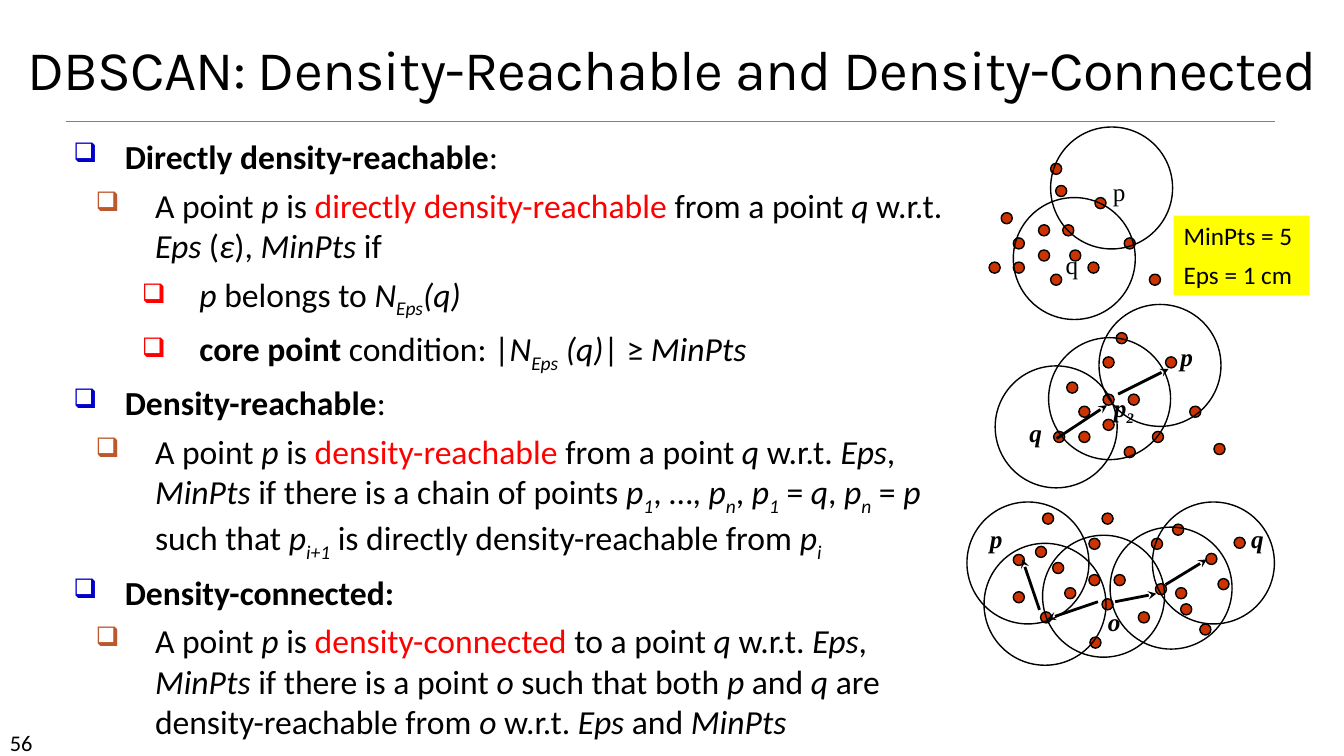
"""Build the slide on density-reachable and density-connected points in DBSCAN."""
from itertools import groupby

from lxml.etree import SubElement
from pptx import Presentation
from pptx.dml.color import RGBColor
from pptx.enum.shapes import MSO_CONNECTOR, MSO_SHAPE
from pptx.enum.text import MSO_ANCHOR, PP_ALIGN
from pptx.oxml.ns import qn
from pptx.util import Pt

PX = 9144
DOT, CIRCLE = 11, 121

TITLE = "DBSCAN: Density-Reachable and Density-Connected"
PAGE = "56"
PARAMETERS = ["MinPts = 5", "Eps = 1 cm"]

MARKS = {"^": "bold", "*": "italic", "_": "subscript", "#": "red"}
BODY = [
    (0, "^Directly density-reachable^:"),
    (1, "A point *p* is #directly density-reachable# from a point *q* w.r.t. *Eps* (*ε*), *MinPts* if"),
    (3, "*p* belongs to *N_Eps_(q)*"),
    (3, "^core point^ condition: |*N_Eps_ (q)*| ≥ *MinPts*"),
    (0, "^Density-reachable^:"),
    (1, "A point *p* is #density-reachable# from a point *q* w.r.t. *Eps*, *MinPts* if there is a chain of points "
        "*p_1_*, …, *p_n_*, *p_1_* = *q*, *p_n_* = *p* such that *p_i+1_* is directly density-reachable from *p_i_*"),
    (0, "^Density-connected:^"),
    (1, "A point *p* is #density-connected# to a point *q* w.r.t. *Eps*, *MinPts* if there is a point *o* such that "
        "both *p* and *q* are density-reachable from *o* w.r.t. *Eps* and *MinPts*"),
]
LEVELS = {0: (51, -51, "0000CC"), 1: (81, -59, "BD582C"), 3: (125, -57, "FF0000")}

FIGURES = [
    {
        "dots": [(1058, 379), (1094, 391), (1094, 354), (1045, 428), (1070, 403), (1070, 428), (1115, 443),
                 (1107, 330), (1180, 403), (1156, 354), (1094, 416), (1119, 391), (1143, 428), (1204, 440)],
        "circles": [(1040, 335), (987, 363), (1090, 302)],
        "arrows": [(1109, 391, 1159, 366), (1048, 435, 1098, 402)],
        "labels": [("^*p*^", 1161, 334, 42), ("^*q*^", 1011, 409, 42), ("^*p_2_*^", 1095, 384, 67)],
    },
    {
        "dots": [(1044, 558), (1080, 570), (1080, 534), (1032, 607), (1056, 583), (1081, 632), (1093, 594),
                 (1093, 509), (1166, 583), (1142, 534), (1005, 587), (1105, 570), (1129, 607), (1190, 619),
                 (1208, 574), (1146, 579), (1171, 599), (1224, 533), (1163, 520), (1196, 549),
                 (1027, 542), (1005, 550), (1034, 509)],
        "circles": [(976, 539), (1034, 531), (1101, 523), (1143, 498), (959, 498)],
        "arrows": [(1089, 597, 1039, 614), (1106, 597, 1147, 589), (1031, 605, 1014, 555), (1156, 580, 1197, 555)],
        "labels": [("^*p*^", 972, 514, 42), ("^*q*^", 1231, 514, 42), ("^*o*^", 1089, 597, 42)],
    },
    {
        "dots": [(993, 211), (1030, 223), (1047, 184), (981, 260), (1005, 236), (1005, 260), (1042, 272),
                 (1042, 162), (1115, 236), (1086, 196), (1030, 248), (1054, 223), (1079, 260), (1140, 272),
                 (1061, 248)],
        "circles": [(1042, 126), (1005, 196)],
        "arrows": [],
        "labels": [("p", 1094, 170, 42), ("q", 1047, 242, 42)],
    },
]


def px(*lengths):
    return [length * PX for length in lengths]


def rgb(value):
    return RGBColor.from_string(value)


def add_runs(p, text, size, font):
    styles, chars = frozenset(), []
    for char in text:
        if char in MARKS:
            styles ^= {MARKS[char]}
        else:
            chars.append((styles, char))
    for on, span in groupby(chars, key=lambda pair: pair[0]):
        r = p.add_run()
        r.text = "".join(char for _, char in span)
        formats = {"size": Pt(size), "name": font, "bold": "bold" in on, "italic": "italic" in on}
        for name, value in formats.items():
            setattr(r.font, name, value)
        r.font.color.rgb = rgb("FF0000" if "red" in on else "000000")
        if "subscript" in on:
            r._r.get_or_add_rPr().set("baseline", "-25000")


def add_bullet(p, level):
    margin, indent, color = LEVELS[level]
    p.level = level
    pPr = p._p.get_or_add_pPr()
    pPr.set("marL", str(margin * PX))
    pPr.set("indent", str(indent * PX))
    SubElement(SubElement(pPr, qn("a:buClr")), qn("a:srgbClr"), val=color)
    SubElement(pPr, qn("a:buSzPct"), val="80000")
    SubElement(pPr, qn("a:buChar"), char="❑")


def write(tf, texts, size, font, anchor=MSO_ANCHOR.TOP, align=PP_ALIGN.LEFT):
    tf.word_wrap = True
    tf.vertical_anchor = anchor
    for i, text in enumerate(texts):
        p = tf.add_paragraph() if i else tf.paragraphs[0]
        p.alignment = align
        if i:
            p.space_before = Pt(6)
        add_runs(p, text, size, font)
    return tf


def add_text(shapes, box, *args, **kwargs):
    return write(shapes.add_textbox(*px(*box)).text_frame, *args, **kwargs)


def add_shape(shapes, kind, box, fill=None, line=None):
    sp = shapes.add_shape(kind, *px(*box))
    sp.shadow.inherit = False
    if fill:
        sp.fill.solid()
        sp.fill.fore_color.rgb = rgb(fill)
    else:
        sp.fill.background()
    if line:
        sp.line.color.rgb = rgb(line)
        sp.line.width = Pt(1)
    else:
        sp.line.fill.background()
    return sp


def add_line(shapes, ends, color, width, arrow=False):
    line = shapes.add_connector(MSO_CONNECTOR.STRAIGHT, *px(*ends))
    line.line.color.rgb = rgb(color)
    line.line.width = Pt(width)
    if arrow:
        SubElement(line.line._get_or_add_ln(), qn("a:tailEnd"), type="stealth")
    SubElement(line._element.spPr, qn("a:effectLst"))


def add_figure(slide, figure):
    shapes = slide.shapes.add_group_shape().shapes
    for x, y in figure["dots"]:
        add_shape(shapes, MSO_SHAPE.OVAL, (x, y, DOT, DOT), "CC3300", "000000")
    for x, y in figure["circles"]:
        add_shape(shapes, MSO_SHAPE.OVAL, (x, y, CIRCLE, CIRCLE), line="000000")
    for ends in figure["arrows"]:
        add_line(shapes, ends, "000000", 2, arrow=True)
    for text, x, y, width in figure["labels"]:
        add_text(shapes, (x, y, width, 40), [text], 18, "Times New Roman")


def main():
    prs = Presentation()
    prs.slide_width, prs.slide_height = px(1333, 750)
    s = prs.slides.add_slide(prs.slide_layouts[6])
    add_line(s.shapes, (65, 120, 1265, 120), "808080", 0.5)
    add_text(s.shapes, (0, 718, 117, 30), [PAGE], 16, "Calibri")
    title = add_text(s.shapes, (9, 12, 1315, 94), [TITLE], 40, "Karla", MSO_ANCHOR.BOTTOM, PP_ALIGN.CENTER)
    title.paragraphs[0].line_spacing = 0.85
    title.paragraphs[0].runs[0]._r.get_or_add_rPr().set("spc", "-50")
    body = add_text(s.shapes, (63, 130, 887, 594), [text for _, text in BODY], 24, "Calibri")
    for p, (level, _) in zip(body.paragraphs, BODY):
        add_bullet(p, level)
    for figure in FIGURES:
        add_figure(s, figure)
    sp = add_shape(s.shapes, MSO_SHAPE.RECTANGLE, (1164, 214, 135, 79), "FFFF00")
    write(sp.text_frame, PARAMETERS, 18, "Calibri")
    prs.save("out.pptx")


if __name__ == "__main__":
    main()
